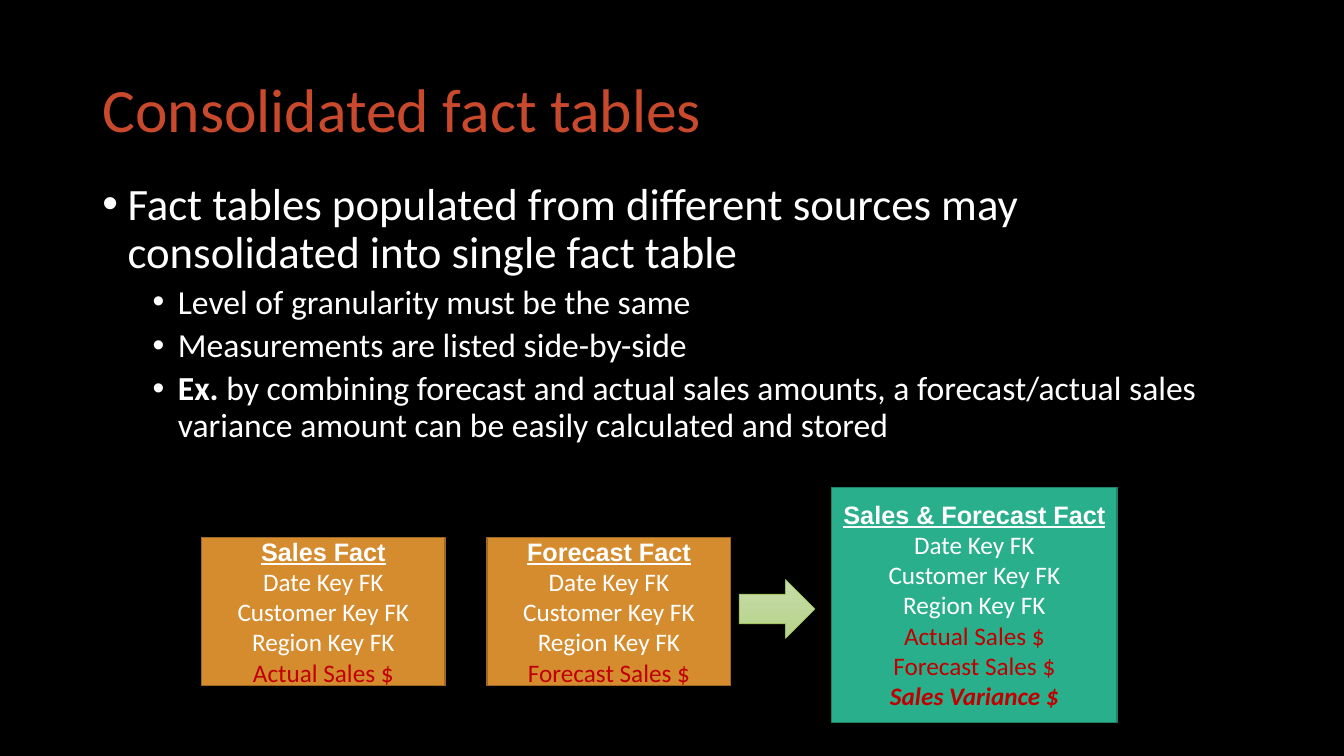
from lxml import etree
from pptx import Presentation
from pptx.dml.color import RGBColor
from pptx.enum.shapes import MSO_SHAPE
from pptx.enum.text import MSO_ANCHOR, PP_ALIGN
from pptx.oxml.ns import qn
from pptx.util import Pt

PX = 9525  # EMU per px, at 96 px to the inch
RECTANGLE = MSO_SHAPE.RECTANGLE
RIGHT_ARROW = MSO_SHAPE.RIGHT_ARROW
MIDDLE = MSO_ANCHOR.MIDDLE
LEFT, CENTER = PP_ALIGN.LEFT, PP_ALIGN.CENTER

BLACK = RGBColor(0x00, 0x00, 0x00)
WHITE = RGBColor(0xFF, 0xFF, 0xFF)
RUST = RGBColor(0xC9, 0x49, 0x2C)
RED = RGBColor(0xC0, 0x00, 0x00)
ORANGE = RGBColor(0xD5, 0x8C, 0x2E)
ORANGE_EDGE = RGBColor(0x9E, 0x68, 0x22)
TEAL = RGBColor(0x29, 0xAF, 0x8C)
TEAL_EDGE = RGBColor(0x1E, 0x81, 0x68)
ARROW_TOP = RGBColor(0xC8, 0xDC, 0xA9)
ARROW_BOTTOM = RGBColor(0xB6, 0xD3, 0x8A)
ARROW_EDGE = RGBColor(0x97, 0xBE, 0x49)

KEYS = ["Date Key FK", "Customer Key FK", "Region Key FK"]
# Each point: level, bold lead-in, text
POINTS = [
    (0, "", "Fact tables populated from different sources may consolidated into single fact table"),
    (1, "", "Level of granularity must be the same"),
    (1, "", "Measurements are listed side-by-side"),
    (1, "Ex. ", "by combining forecast and actual sales amounts, "
                "a forecast/actual sales variance amount can be easily calculated and stored"),
]
# Per level: text size, space before, left margin in px
LEVELS = [(32, 10, 24), (24, 5, 72)]
HANGING = 24


def emu(*lengths):
    return [length * PX for length in lengths]


def set_font(para, size, color, name="Calibri"):
    para.font.name = name
    para.font.size = Pt(size)
    para.font.color.rgb = color


def next_para(frame, index):
    return frame.paragraphs[0] if index == 0 else frame.add_paragraph()


def set_title(page, text, *place):
    title = page.shapes.title
    title.left, title.top, title.width, title.height = emu(*place)
    title.text_frame.text = text
    title.text_frame.vertical_anchor = MIDDLE
    para = title.text_frame.paragraphs[0]
    para.alignment = LEFT
    para.line_spacing = 0.9
    set_font(para, 44, RUST)


def add_bullets(page, points, *place):
    frame = page.shapes.add_textbox(*emu(*place)).text_frame
    frame.word_wrap = True
    for index, (level, lead, text) in enumerate(points):
        size, gap, margin = LEVELS[level]
        para = next_para(frame, index)
        para.level = level
        para.line_spacing = 0.9
        if index:
            para.space_before = Pt(gap)
        properties = para._p.get_or_add_pPr()
        properties.set("marL", str(margin * PX))
        properties.set("indent", str(-HANGING * PX))
        etree.SubElement(properties, qn("a:buFont"), typeface="Arial")
        etree.SubElement(properties, qn("a:buChar"), char="•")
        set_font(para, size, WHITE)
        if lead:
            span = para.add_run()
            span.text = lead
            span.font.bold = True
        para.add_run().text = text


def add_shape(page, kind, edge, edge_width, *place):
    shape = page.shapes.add_shape(kind, *emu(*place))
    shape.shadow.inherit = False
    shape.line.color.rgb = edge
    shape.line.width = Pt(edge_width)
    return shape


def add_fact_table(page, heading, measures, fill, edge, *place):
    box = add_shape(page, RECTANGLE, edge, 1, *place)
    box.fill.solid()
    box.fill.fore_color.rgb = fill
    frame = box.text_frame
    frame.word_wrap = False
    frame.vertical_anchor = MIDDLE
    for index, text in enumerate([heading, *KEYS, *measures]):
        para = next_para(frame, index)
        para.text = text
        para.alignment = CENTER
        set_font(para, 18, RED if text in measures else WHITE)
    top_line = frame.paragraphs[0].font
    top_line.name = "Arial"
    top_line.bold = top_line.underline = True
    return box


def add_arrow(page, *place):
    arrow = add_shape(page, RIGHT_ARROW, ARROW_EDGE, 0.5, *place)
    arrow.fill.gradient()
    arrow.fill.gradient_angle = 270
    for stop, color in zip(arrow.fill.gradient_stops, (ARROW_TOP, ARROW_BOTTOM)):
        stop.color.rgb = color


def main():
    deck = Presentation()
    deck.slide_width, deck.slide_height = emu(1280, 720)
    page = deck.slides.add_slide(deck.slide_layouts[5])
    page.background.fill.solid()
    page.background.fill.fore_color.rgb = BLACK

    # Heading and points
    set_title(page, "Consolidated fact tables", 88, 38, 1104, 139)
    add_bullets(page, POINTS, 88, 168, 1072, 272)

    # Source tables
    sources = [("Sales Fact", "Actual Sales $"), ("Forecast Fact", "Forecast Sales $")]
    for column, (heading, measure) in enumerate(sources):
        add_fact_table(page, heading, [measure], ORANGE, ORANGE_EDGE,
                       192 + 272 * column, 512, 232, 141)

    # Consolidated table, its variance set apart
    measures = [measure for _, measure in sources] + ["Sales Variance $"]
    combined = add_fact_table(page, "Sales & Forecast Fact", measures, TEAL, TEAL_EDGE,
                              792, 464, 272, 224)
    variance = combined.text_frame.paragraphs[-1].font
    variance.bold = variance.italic = True

    add_arrow(page, 704, 552, 72, 56)
    deck.save("out.pptx")


if __name__ == "__main__":
    main()
